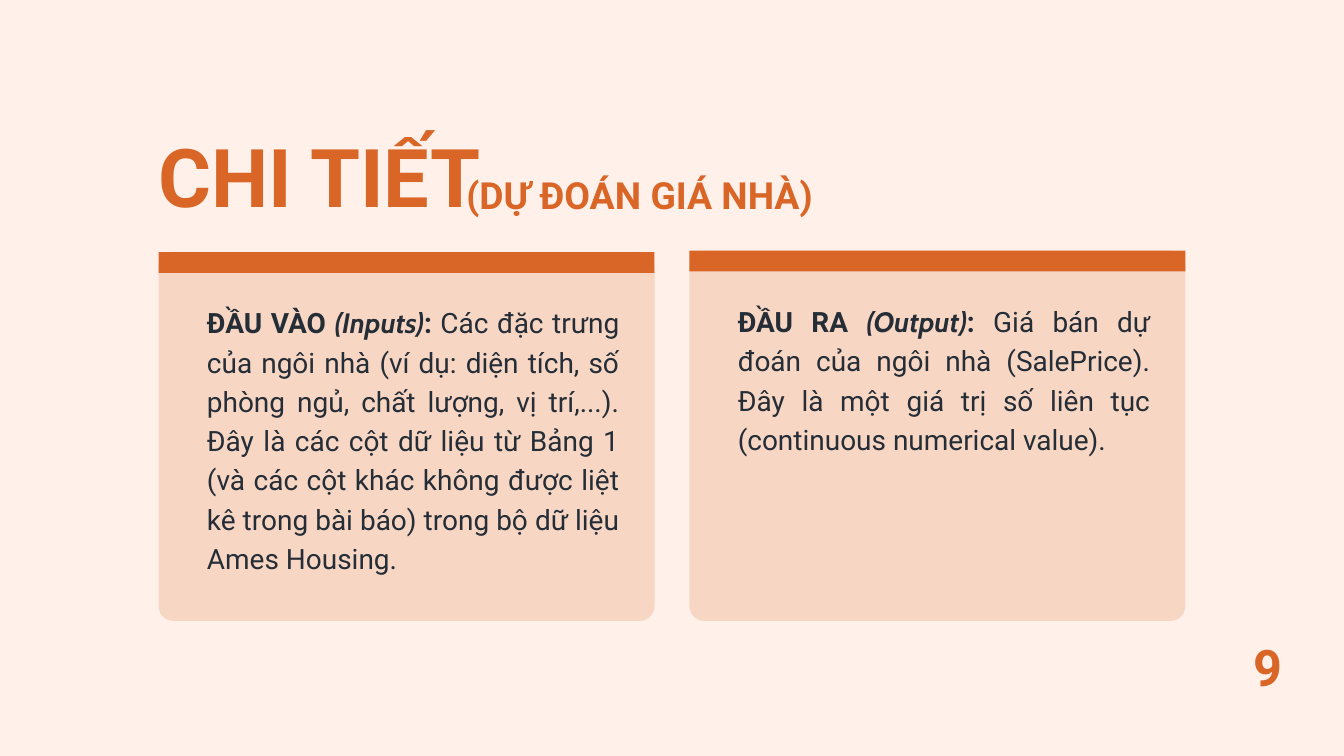
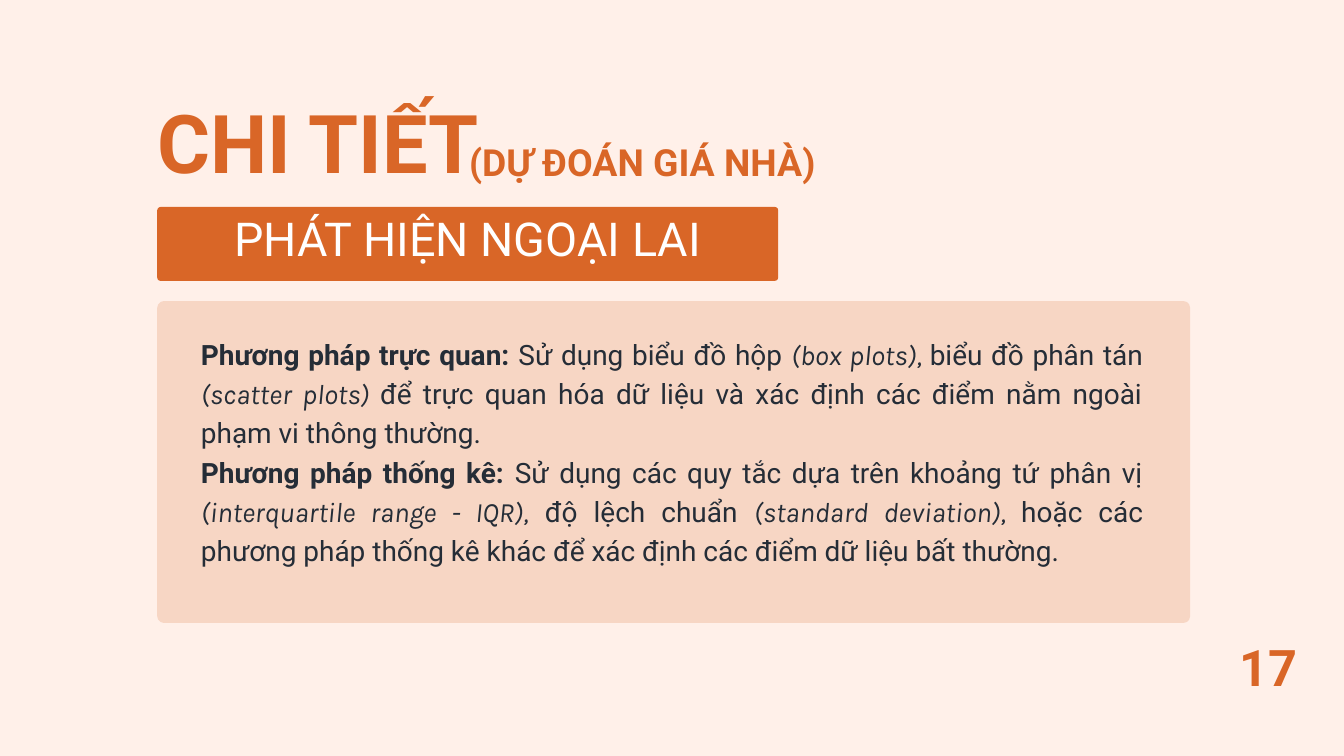
from collections import namedtuple
from dataclasses import dataclass

from lxml.etree import SubElement
from pptx import Presentation
from pptx.dml.color import RGBColor
from pptx.enum.shapes import MSO_SHAPE
from pptx.enum.text import MSO_ANCHOR, MSO_AUTO_SIZE, PP_ALIGN
from pptx.oxml.ns import qn
from pptx.util import Pt

EMU_PER_PX = 9144

Box = namedtuple("Box", "left top width height")
Style = namedtuple("Style", "size leading color bold")
Voice = namedtuple("Voice", "font bold italic")


@dataclass(frozen=True)
class Theme:
    background = RGBColor.from_string("FFF0E9")
    accent = RGBColor.from_string("D96627")
    ink = RGBColor.from_string("252D37")
    white = RGBColor.from_string("FFFFFF")
    font = "Roboto"
    panel_opacity = 19
    title = Style(86.8, 69.5, accent, True)
    subtitle = Style(40, 32, accent, True)
    banner = Style(50, 40, white, False)
    body = Style(30, 42, ink, None)
    number = Style(54, 43.2, accent, True)


THEME = Theme()
PLAIN = Voice(THEME.font, False, False)
STRONG = Voice(THEME.font, True, False)
STRONG_TERM = Voice("Cabin", True, True)
TERM = Voice("Karla", False, True)

INPUTS = [[
    ("ĐẦU VÀO ", STRONG),
    ("(Inputs)", STRONG_TERM),
    (":", STRONG),
    (" Các đặc trưng của ngôi nhà (ví dụ: diện tích, số phòng ngủ, chất lượng, "
     "vị trí,...). Đây là các cột dữ liệu từ Bảng 1 (và các cột khác không được "
     "liệt kê trong bài báo) trong bộ dữ liệu Ames Housing.", PLAIN),
]]
OUTPUT = [[
    ("ĐẦU RA ", STRONG),
    ("(Output)", STRONG_TERM),
    (":", STRONG),
    (" Giá bán dự đoán của ngôi nhà (SalePrice). Đây là một giá trị số liên tục "
     "(continuous numerical value).", PLAIN),
]]
METHODS = [
    [
        ("Phương pháp trực quan:", STRONG),
        (" Sử dụng biểu đồ hộp ", PLAIN),
        ("(box plots), ", TERM),
        ("biểu đồ phân tán ", PLAIN),
        ("(scatter plots) ", TERM),
        ("để trực quan hóa dữ liệu và xác định các điểm nằm ngoài phạm vi "
         "thông thường.", PLAIN),
    ],
    [
        ("Phương pháp thống kê:", STRONG),
        (" Sử dụng các quy tắc dựa trên khoảng tứ phân vị ", PLAIN),
        ("(interquartile range - IQR),", TERM),
        (" độ lệch chuẩn ", PLAIN),
        ("(standard deviation), ", TERM),
        ("hoặc các phương pháp thống kê khác để xác định các điểm dữ liệu "
         "bất thường.", PLAIN),
    ],
]


def px(length):
    return length * EMU_PER_PX


def place(box):
    return [px(length) for length in box]


def add_frame(slide, box):
    frame = slide.shapes.add_textbox(*place(box)).text_frame
    frame.word_wrap = True
    frame.auto_size = MSO_AUTO_SIZE.SHAPE_TO_FIT_TEXT
    frame.vertical_anchor = MSO_ANCHOR.TOP
    frame.margin_left = frame.margin_right = 0
    frame.margin_top = frame.margin_bottom = 0
    return frame


def style_paragraph(paragraph, style, align):
    paragraph.alignment = align
    paragraph.line_spacing = Pt(style.leading)
    paragraph.font.size = Pt(style.size)
    paragraph.font.color.rgb = style.color


def add_line(slide, box, text, style, align=PP_ALIGN.LEFT):
    line = add_frame(slide, box).paragraphs[0]
    line.text = text
    style_paragraph(line, style, align)
    line.font.name = THEME.font
    line.font.bold = style.bold


def add_body(slide, box, passages):
    frame = add_frame(slide, box)
    for index, passage in enumerate(passages):
        paragraph = frame.add_paragraph() if index else frame.paragraphs[0]
        style_paragraph(paragraph, THEME.body, PP_ALIGN.JUSTIFY)
        for text, voice in passage:
            run = paragraph.add_run()
            run.text = text
            run.font.name, run.font.bold, run.font.italic = voice


def add_block(slide, box, radius=0, opacity=100):
    kind = MSO_SHAPE.ROUNDED_RECTANGLE if radius else MSO_SHAPE.RECTANGLE
    block = slide.shapes.add_shape(kind, *place(box))
    block.shadow.inherit = False
    block.line.fill.background()
    block.fill.solid()
    block.fill.fore_color.rgb = THEME.accent
    if radius:
        block.adjustments[0] = radius / min(box.width, box.height)
    if opacity < 100:
        color = block.fill._xPr.find(f".//{qn('a:srgbClr')}")
        SubElement(color, qn("a:alpha")).set("val", str(opacity * 1000))


def add_heading(slide, box, subtitle_left, subtitle_top):
    add_line(slide, box, "CHI TIẾT", THEME.title)
    subtitle = Box(box.left + subtitle_left, box.top + subtitle_top, 577, 50)
    add_line(slide, subtitle, "(DỰ ĐOÁN GIÁ NHÀ)", THEME.subtitle)


def add_card(slide, box, passages, text_height):
    inset = 72
    add_block(slide, box, 22, THEME.panel_opacity)
    add_block(slide, box._replace(height=31))
    text = Box(box.left + inset, box.top + inset, 614, text_height)
    add_body(slide, text, passages)


def add_banner(slide, box, text):
    inset = 105
    add_block(slide, box, 5)
    label = Box(box.left + inset, box.top + 32, box.width - 2 * inset, 64)
    add_line(slide, label, text, THEME.banner, PP_ALIGN.CENTER)


def add_panel(slide, box, passages):
    add_block(slide, box, 10, THEME.panel_opacity)
    text = Box(box.left + 65, box.top + 46, 1402, 350)
    add_body(slide, text, passages)


def add_page(deck, number):
    slide = deck.slides.add_slide(deck.slide_layouts[6])
    slide.background.fill.solid()
    slide.background.fill.fore_color.rgb = THEME.background
    add_line(slide, Box(1829, 977, 116, 69), number, THEME.number, PP_ALIGN.CENTER)
    return slide


def build_details(deck):
    slide = add_page(deck, "9")
    add_heading(slide, Box(236, 236, 547, 109), 458, 42)
    add_card(slide, Box(236, 375, 738, 549), INPUTS, 408)
    add_card(slide, Box(1026, 373, 738, 551), OUTPUT, 233)


def build_outliers(deck):
    slide = add_page(deck, "17")
    add_heading(slide, Box(234, 186, 544, 109), 464, 44)
    add_banner(slide, Box(234, 308, 924, 110), "PHÁT HIỆN NGOẠI LAI")
    add_panel(slide, Box(234, 448, 1537, 479), METHODS)


def main():
    deck = Presentation()
    deck.slide_width, deck.slide_height = px(2000), px(1125)
    build_details(deck)
    build_outliers(deck)
    deck.save("out.pptx")


if __name__ == "__main__":
    main()
